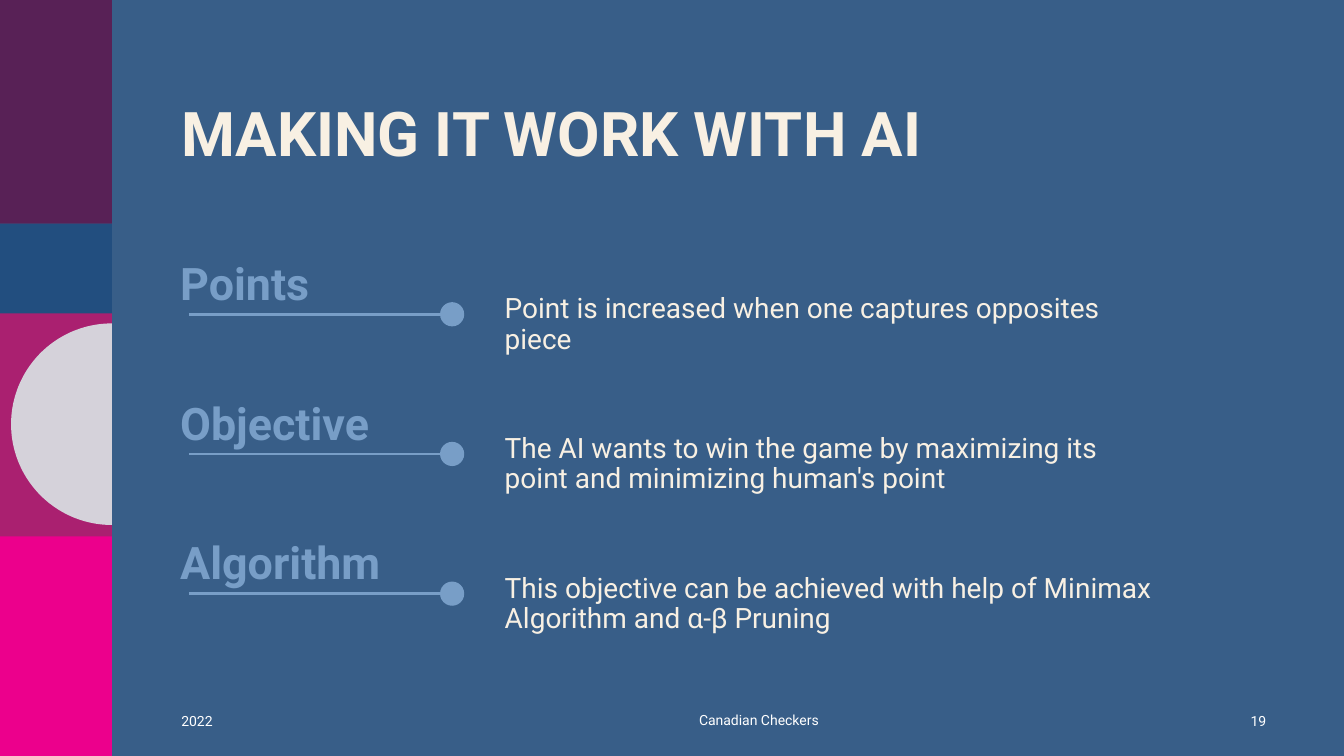
import math

import pptx
import pptx.dml.color
import pptx.enum.shapes
import pptx.enum.text
import pptx.oxml.ns
import pptx.util
from lxml import etree

Cm, Pt = pptx.util.Cm, pptx.util.Pt
MSO_SHAPE = pptx.enum.shapes.MSO_SHAPE
ANCHOR = pptx.enum.text.MSO_ANCHOR
ALIGN = pptx.enum.text.PP_ALIGN

COLORS = {
    "background": "385E88",
    "pink": "EC008C",
    "magenta": "AA2070",
    "plum": "582156",
    "navy": "224E7F",
    "gray": "D5D2DA",
    "accent": "789EC7",
    "cream": "F8F0E3",
    "white": "FFFFFF",
}
RGB = {name: pptx.dml.color.RGBColor.from_string(h) for name, h in COLORS.items()}


def add_text(text, x, y, w, h, size, color="cream", bold=False, align=ALIGN.LEFT,
             anchor=ANCHOR.TOP, line_spacing=1.0, space_before=0):
    tf = s.shapes.add_textbox(Cm(x), Cm(y), Cm(w), Cm(h)).text_frame
    tf.word_wrap = True
    tf.vertical_anchor = anchor
    p = tf.paragraphs[0]
    p.alignment = align
    p.line_spacing = line_spacing
    p.space_before = Pt(space_before)
    r = p.add_run()
    r.text = text
    r.font.name = "Roboto"
    r.font.size = Pt(size)
    r.font.bold = bold
    r.font.color.rgb = RGB[color]


def paint(sp, color):
    """Give a shape a flat fill with no outline or shadow."""
    sp.shadow.inherit = False
    sp.fill.solid()
    sp.fill.fore_color.rgb = RGB[color]
    sp.line.fill.background()


prs = pptx.Presentation()
prs.slide_width, prs.slide_height = Cm(33.87), Cm(19.05)
s = prs.slides.add_slide(prs.slide_layouts[6])
s.background.fill.solid()
s.background.fill.fore_color.rgb = RGB["background"]

# Side band
BAND = 2.82
for color, top, height in [
    ("pink", 13.41, 5.64),
    ("magenta", 7.88, 5.64),
    ("plum", 0, 5.64),
    ("navy", 5.64, 2.26),
]:
    paint(s.shapes.add_shape(MSO_SHAPE.RECTANGLE, 0, Cm(top), Cm(BAND), Cm(height)), color)

# Half disc against the right edge of the band
RADIUS, CENTER_Y, STEPS = 2.54, 10.69, 90
arc = []
for i in range(STEPS + 1):
    angle = math.pi * (0.5 + i / STEPS)
    arc.append((Cm(BAND + RADIUS * math.cos(angle)), Cm(CENTER_Y + RADIUS * math.sin(angle))))
outline = s.shapes.build_freeform(*arc[0])
outline.add_line_segments(arc[1:], close=True)
paint(outline.convert_to_shape(), "gray")

add_text("MAKING IT WORK WITH AI", 4.32, 2.49, 28.3, 3.68, 44, bold=True, line_spacing=0.9)

# Three rows: heading, line ending in a dot, description
ROW_PITCH, DOT = 3.52, 0.61
rows = [
    ("Points", "Point is increased when one captures opposites piece"),
    ("Objective", "The AI wants to win the game by maximizing its point and minimizing human's point"),
    ("Algorithm", "This objective can be achieved with help of Minimax Algorithm and α-β Pruning"),
]
for i, (heading, description) in enumerate(rows):
    dy = i * ROW_PITCH
    add_text(heading, 4.29, 6.12 + dy, 6.76, 2.18, 32, "accent", bold=True,
             anchor=ANCHOR.MIDDLE, line_spacing=0.9, space_before=10)
    add_text(description, 12.47, 7.3 + dy, 17.09, 2.62, 20, line_spacing=0.9, space_before=10)
    line_y = 7.92 + dy
    line = s.shapes.add_connector(pptx.enum.shapes.MSO_CONNECTOR.STRAIGHT,
                                  Cm(4.76), Cm(line_y), Cm(11.2), Cm(line_y))
    line.line.color.rgb = RGB["accent"]
    line.line.width = Pt(2)
    etree.SubElement(line._element.spPr, pptx.oxml.ns.qn("a:effectLst"))
    paint(s.shapes.add_shape(MSO_SHAPE.OVAL, Cm(11.09), Cm(line_y - DOT / 2), Cm(DOT), Cm(DOT)),
          "accent")

# Footer
for text, x, y, w, align in [
    ("2022", 4.32, 17.65, 3.05, ALIGN.LEFT),
    ("Canadian Checkers", 15.95, 17.63, 6.35, ALIGN.CENTER),
    ("19", 30.89, 17.65, 1.27, ALIGN.RIGHT),
]:
    add_text(text, x, y, w, 1.02, 10, "white", align=align, anchor=ANCHOR.MIDDLE)

prs.save("out.pptx")
